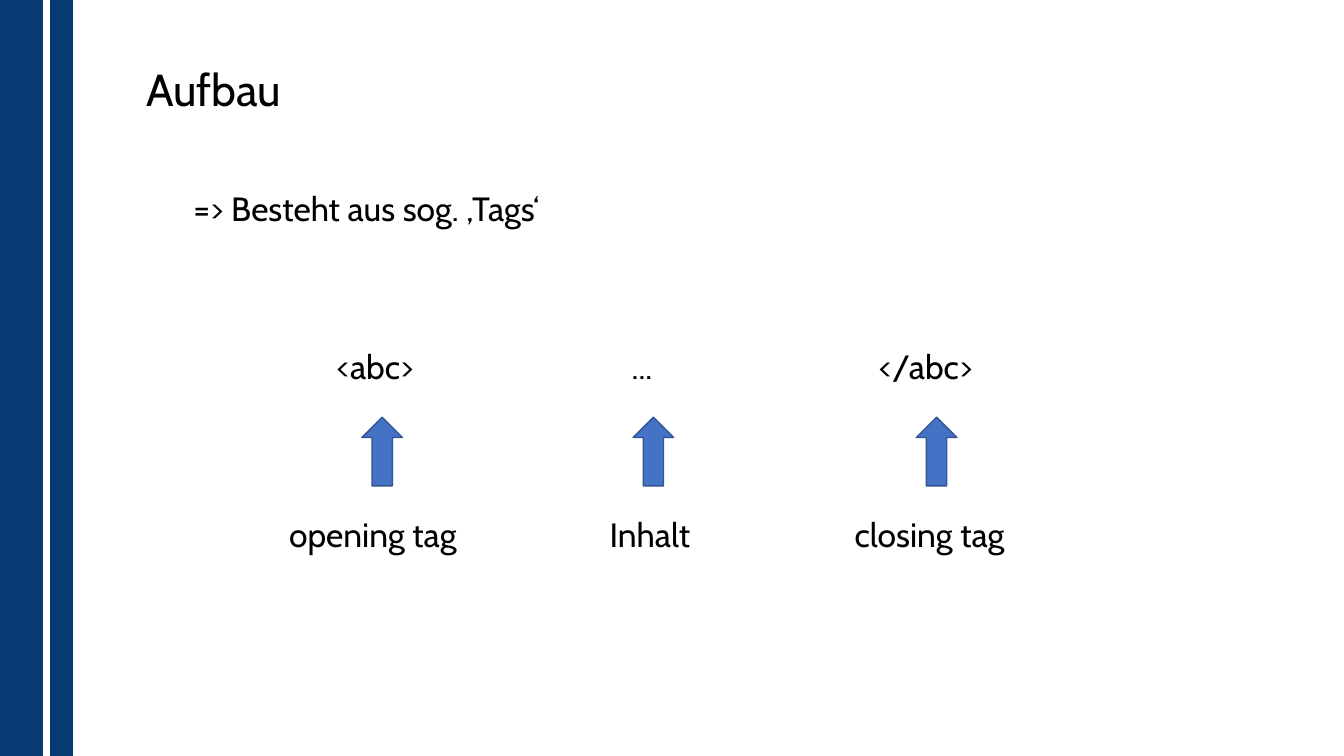
from dataclasses import dataclass

from pptx import Presentation
from pptx.dml.color import RGBColor
from pptx.enum.shapes import MSO_SHAPE
from pptx.enum.text import MSO_ANCHOR, MSO_AUTO_SIZE, PP_ALIGN
from pptx.shapes.autoshape import Shape
from pptx.slide import Slide
from pptx.util import Pt

FONT = "Cabin"
BLACK, NAVY, BLUE, DARK_BLUE = "000000", "073A73", "4472C4", "325491"
SLIDE_WIDTH, SLIDE_HEIGHT = 960, 540
CODE_TOP, ARROW_TOP, LABEL_TOP = 243.4, 298, 363.6
TEXT_HEIGHT = 36
ARROW_WIDTH, ARROW_HEIGHT = 29, 49


@dataclass(frozen=True)
class Bar:
    left: float
    width: float


@dataclass(frozen=True)
class TagPart:
    code: str
    code_left: float
    code_width: float
    arrow_left: float
    label: str
    label_left: float
    label_width: float


BARS = [Bar(0, 30.2), Bar(36, 15.8)]
TAG_PARTS = [
    TagPart("<abc>", 233.3, 80, 258.5, "opening tag", 199.4, 146),
    TagPart("...", 444.2, 45.4, 452.2, "Inhalt", 428.4, 77),
    TagPart("</abc>", 620.6, 95, 654.5, "closing tag", 603.4, 131),
]


def colour(value: str) -> RGBColor:
    return RGBColor.from_string(value)


def write_text(box: Shape, text: str, size: float) -> None:
    frame = box.text_frame
    frame.text = text
    frame.word_wrap = True
    frame.auto_size = MSO_AUTO_SIZE.NONE
    para = frame.paragraphs[0]
    para.alignment = PP_ALIGN.LEFT
    font = para.runs[0].font
    font.name = FONT
    font.size = Pt(size)
    font.color.rgb = colour(BLACK)


def add_text(page: Slide, text: str, left: float, top: float, width: float) -> Shape:
    box = page.shapes.add_textbox(Pt(left), Pt(top), Pt(width), Pt(TEXT_HEIGHT))
    write_text(box, text, 24)
    return box


def add_filled_shape(page: Slide, kind: MSO_SHAPE, left: float, top: float,
                     width: float, height: float, fill: str, line: str) -> None:
    shape = page.shapes.add_shape(kind, Pt(left), Pt(top), Pt(width), Pt(height))
    shape.shadow.inherit = False
    shape.fill.solid()
    shape.fill.fore_color.rgb = colour(fill)
    shape.line.color.rgb = colour(line)
    shape.line.width = Pt(1)


def add_title(page: Slide, text: str) -> None:
    title = page.shapes.title
    title.left, title.top, title.width, title.height = Pt(97.2), Pt(40.3), Pt(491.8), Pt(51)
    write_text(title, text, 32)
    title.text_frame.vertical_anchor = MSO_ANCHOR.MIDDLE
    title.text_frame.paragraphs[0].line_spacing = 0.9


def add_tag_part(page: Slide, part: TagPart) -> None:
    """Draw a piece of code with an arrow and its label below."""
    add_text(page, part.code, part.code_left, CODE_TOP, part.code_width)
    add_filled_shape(page, MSO_SHAPE.UP_ARROW, part.arrow_left, ARROW_TOP,
                     ARROW_WIDTH, ARROW_HEIGHT, BLUE, DARK_BLUE)
    add_text(page, part.label, part.label_left, LABEL_TOP, part.label_width)


def main() -> None:
    deck = Presentation()
    deck.slide_width, deck.slide_height = Pt(SLIDE_WIDTH), Pt(SLIDE_HEIGHT)
    page = deck.slides.add_slide(deck.slide_layouts[5])
    for bar in BARS:
        add_filled_shape(page, MSO_SHAPE.RECTANGLE, bar.left, 0, bar.width,
                         SLIDE_HEIGHT, NAVY, NAVY)
    add_title(page, "Aufbau")
    statement = add_text(page, "=> Besteht aus sog. ‚Tags‘", 131, 133.9, 293)
    para = statement.text_frame.paragraphs[0]
    para.line_spacing = 0.9
    para.space_before = Pt(10)
    for part in TAG_PARTS:
        add_tag_part(page, part)
    deck.save("out.pptx")


if __name__ == "__main__":
    main()
